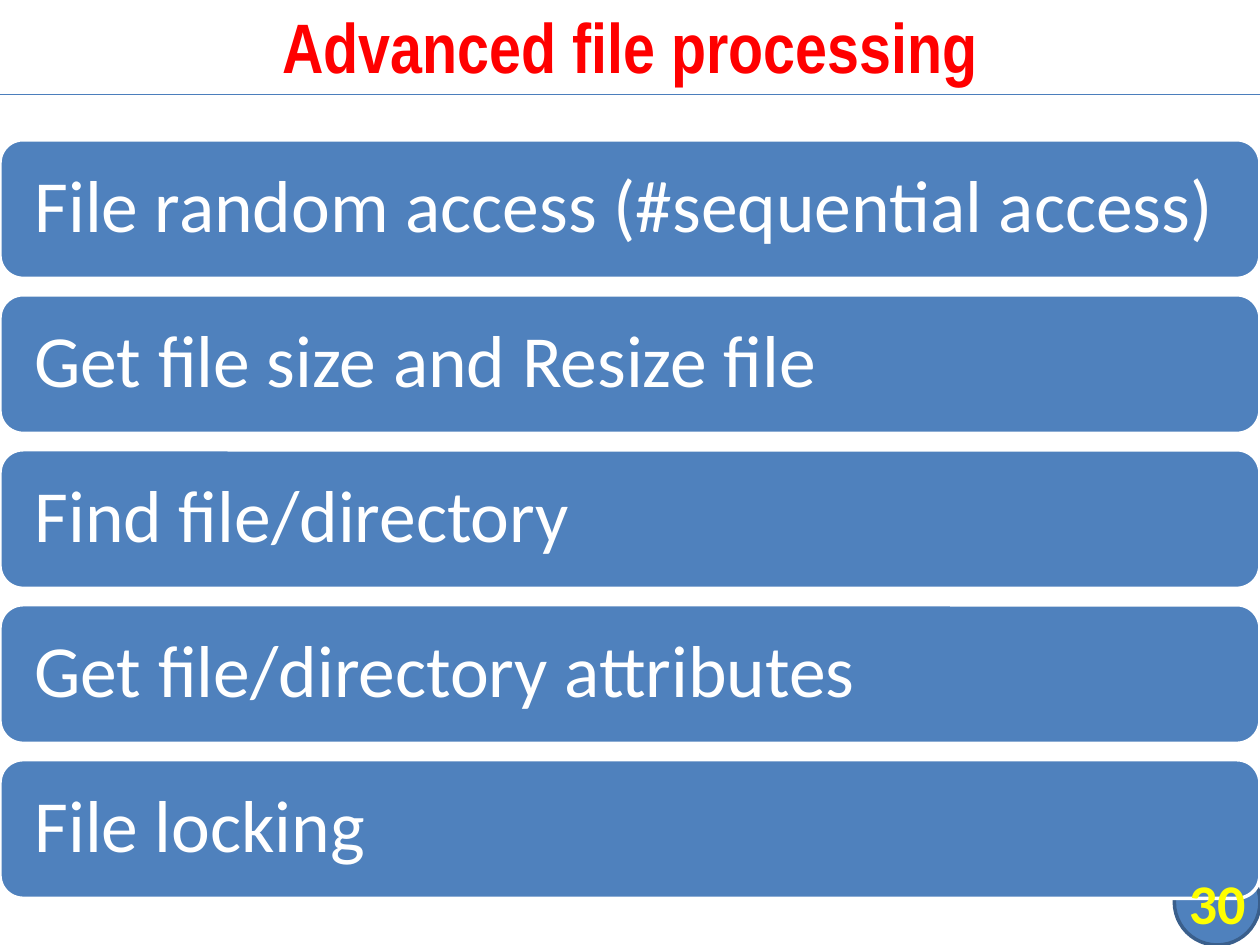
"""Build the "Advanced file processing" topic slide."""
from dataclasses import dataclass

from lxml.etree import SubElement
from pptx import Presentation
from pptx.dml.color import RGBColor as Color
from pptx.enum.shapes import MSO_CONNECTOR as Connector, MSO_SHAPE as Shape
from pptx.enum.text import MSO_ANCHOR as Anchor, MSO_AUTO_SIZE as AutoSize, PP_ALIGN as Align
from pptx.oxml.ns import qn
from pptx.util import Inches, Pt

COLORS = {
    "bar": "4F81BD",
    "badge_line": "3A5F8C",
    "rule": "4B7EBC",
    "white": "FFFFFF",
    "title": "FF0000",
    "number": "FFFF00",
}
TOPICS = [
    "File random access (#sequential access)",
    "Get file size and Resize file",
    "Find file/directory",
    "Get file/directory attributes",
    "File locking",
]
BAR_TOP, BAR_HEIGHT, BAR_PITCH = 1.11, 1.1, 1.23


@dataclass(frozen=True)
class Box:
    left: float
    top: float
    width: float
    height: float

    def lengths(self) -> tuple:
        return tuple(Inches(n) for n in (self.left, self.top, self.width, self.height))


@dataclass(frozen=True)
class TextStyle:
    font: str
    size: int
    color: str
    bold: bool = False
    align: Align = Align.CENTER
    margin: float = 0
    line_spacing: float = 1.0


TITLE = TextStyle("Arial Narrow", 40, "title", bold=True, margin=0.05)
TOPIC = TextStyle("Calibri", 42, "white", align=Align.LEFT, margin=0.22, line_spacing=0.9)
NUMBER = TextStyle("Calibri", 32, "number", bold=True)


def set_attributes(target, values: dict) -> None:
    for name, value in values.items():
        setattr(target, name, value)


def write_text(shape, text: str, style: TextStyle) -> None:
    frame = shape.text_frame
    frame.text = text
    margin = Inches(style.margin)
    set_attributes(frame, {
        "word_wrap": True,
        "auto_size": AutoSize.NONE,
        "vertical_anchor": Anchor.MIDDLE,
        "margin_left": margin,
        "margin_right": margin,
        "margin_top": margin,
        "margin_bottom": margin,
    })
    paragraph = frame.paragraphs[0]
    set_attributes(paragraph, {"alignment": style.align, "line_spacing": style.line_spacing})
    font = paragraph.runs[0].font
    set_attributes(font, {"name": style.font, "size": Pt(style.size), "bold": style.bold})
    font.color.rgb = Color.from_string(COLORS[style.color])


def set_line(line, color: str, width: float) -> None:
    line.color.rgb = Color.from_string(COLORS[color])
    line.width = Pt(width)


def add_filled_shape(slide, kind: Shape, box: Box, line_color: str):
    shape = slide.shapes.add_shape(kind, *box.lengths())
    shape.shadow.inherit = False
    shape.fill.solid()
    shape.fill.fore_color.rgb = Color.from_string(COLORS["bar"])
    set_line(shape.line, line_color, 2)
    return shape


def add_rule(slide, top: float) -> None:
    rule = slide.shapes.add_connector(
        Connector.STRAIGHT, Inches(0), Inches(top), Inches(10), Inches(top))
    set_line(rule.line, "rule", 0.75)
    SubElement(rule._element.spPr, qn("a:effectLst"))


def main() -> None:
    presentation = Presentation()
    set_attributes(presentation, {"slide_width": Inches(10), "slide_height": Inches(7.5)})
    slide = presentation.slides.add_slide(presentation.slide_layouts[5])

    title = slide.shapes.title
    title_box = Box(0, -0.03, 10, 0.78)
    set_attributes(title, dict(zip(("left", "top", "width", "height"), title_box.lengths())))
    write_text(title, "Advanced file processing", TITLE)

    badge_box = Box(9.32, 6.82, 0.68, 0.68)
    add_filled_shape(slide, Shape.FLOWCHART_CONNECTOR, badge_box, "badge_line")
    add_rule(slide, 0.75)

    for index, topic in enumerate(TOPICS):
        bar_box = Box(0, BAR_TOP + index * BAR_PITCH, 10, BAR_HEIGHT)
        bar = add_filled_shape(slide, Shape.ROUNDED_RECTANGLE, bar_box, "white")
        write_text(bar, topic, TOPIC)

    number = slide.shapes.add_textbox(*badge_box.lengths())
    write_text(number, "30", NUMBER)
    presentation.save("out.pptx")


if __name__ == "__main__":
    main()
